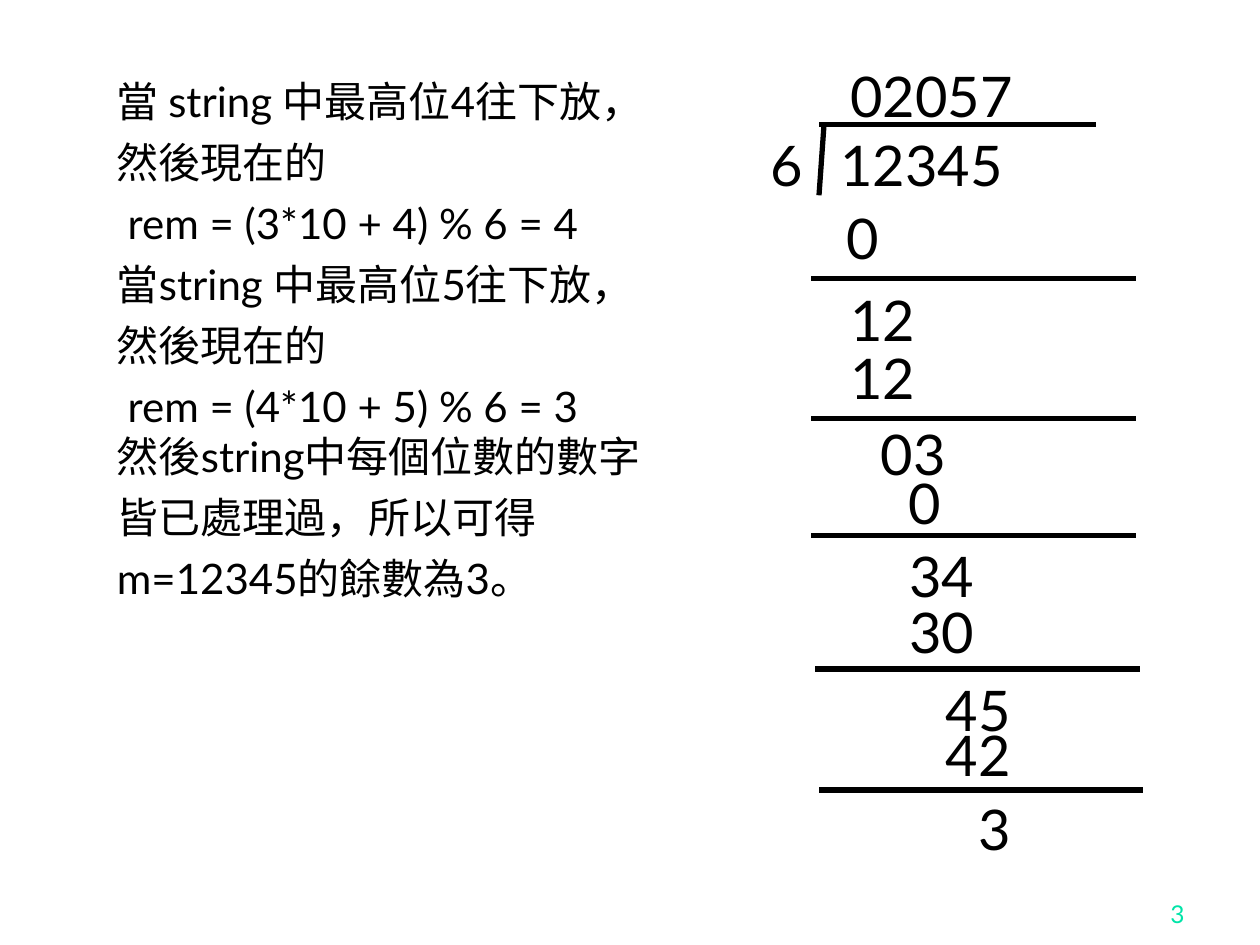
"""Build a slide that explains long division of a digit string."""
from typing import NamedTuple

from lxml import etree
from pptx import Presentation
from pptx import util as u
from pptx.dml.color import RGBColor
from pptx.enum import shapes, text

COLS, ROWS = 100, 75
FONT, INK, MINT = "Lato", "000000", "00E4A8"


class Note(NamedTuple):
    """Text placed by column and row, with its size in cells."""
    words: str
    col: float
    row: float
    wide: float
    high: float = 6.4
    size: int = 32
    hue: str = INK
    gap: int = 0
    align: text.PP_ALIGN = text.PP_ALIGN.LEFT
    hold: text.MSO_ANCHOR = text.MSO_ANCHOR.TOP
    fit: text.MSO_AUTO_SIZE = text.MSO_AUTO_SIZE.SHAPE_TO_FIT_TEXT


class Rule(NamedTuple):
    """Straight stroke between two grid points."""
    col: float
    row: float
    end: float
    foot: float


STEPS = "\n".join((
    "當 string 中最高位4往下放，",
    "然後現在的",
    " rem = (3*10 + 4) % 6 = 4",
    "當string 中最高位5往下放，",
    "然後現在的",
    " rem = (4*10 + 5) % 6 = 3\v然後string中每個位數的數字",
    "皆已處理過，所以可得",
    "m=12345的餘數為3。",
))

NOTES = (
    Note(STEPS, 8.3, 5.5, 85, 62.3, 24, gap=6, fit=text.MSO_AUTO_SIZE.NONE),
    Note("3", 74.2, 69.2, 20.8, 5, 14, MINT, align=text.PP_ALIGN.RIGHT,
         hold=text.MSO_ANCHOR.BOTTOM, fit=text.MSO_AUTO_SIZE.NONE),
    Note("12345", 65.7, 9.9, 19.7),
    Note("6", 60.2, 9.9, 3.9),
    Note("02057", 66.5, 4.4, 16.5),
    Note("0", 66.2, 15.7, 3.9),
    Note("12", 66.5, 22.2, 19.7),
    Note("12", 66.5, 26.8, 19.7),
    Note("03", 68.9, 32.8, 10.2),
    Note("0", 71.1, 36.7, 8),
    Note("34", 71.2, 42.5, 8),
    Note("30", 71.2, 46.9, 8),
    Note("45", 74.1, 53.1, 8.6),
    Note("42", 74.1, 56.7, 8.6),
    Note("3", 76.7, 62.6, 8.6),
)

BARS = ((64.4, 22.1), (64.4, 33.2), (64.4, 42.5), (64.7, 53.1), (65, 62.7))
RULES = (
    Rule(65, 9.9, 87, 9.9),
    Rule(65.4, 9.9, 65, 15.5),
    *(Rule(col, row, col + 25.75, row) for col, row in BARS),
)


def tint(code: str) -> RGBColor:
    """Turn a hex string into a colour."""
    return RGBColor.from_string(code)


def write(slide, grid, note: Note) -> None:
    """Place a note on the slide."""
    box = slide.shapes.add_textbox(*grid(note.col, note.row), *grid(note.wide, note.high))
    frame = box.text_frame
    frame.text = note.words
    frame.word_wrap = True
    frame.auto_size = note.fit
    frame.vertical_anchor = note.hold
    for rank, para in enumerate(frame.paragraphs):
        para.alignment = note.align
        para.space_before = u.Pt(note.gap if rank else 0)
        for run in para.runs:
            run.font.name = FONT
            run.font.size = u.Pt(note.size)
            run.font.color.rgb = tint(note.hue)


def draw(slide, grid, rule: Rule) -> None:
    """Draw a rule on the slide."""
    line = slide.shapes.add_connector(
        shapes.MSO_CONNECTOR.STRAIGHT, *grid(rule.col, rule.row), *grid(rule.end, rule.foot))
    line.line.color.rgb = tint(INK)
    line.line.width = u.Pt(3)
    props = line._element.spPr
    etree.SubElement(props, "{%s}effectLst" % props.nsmap["a"])


def main() -> None:
    """Build and save the deck."""
    deck = Presentation()
    deck.slide_width, deck.slide_height = u.Inches(10), u.Inches(7.5)
    slide = deck.slides.add_slide(deck.slide_layouts[6])

    def grid(col: float, row: float) -> tuple[int, int]:
        """Turn grid units into slide lengths."""
        return round(deck.slide_width * col / COLS), round(deck.slide_height * row / ROWS)

    for rule in RULES:
        draw(slide, grid, rule)
    for note in NOTES:
        write(slide, grid, note)
    deck.save("out.pptx")


if __name__ == "__main__":
    main()
